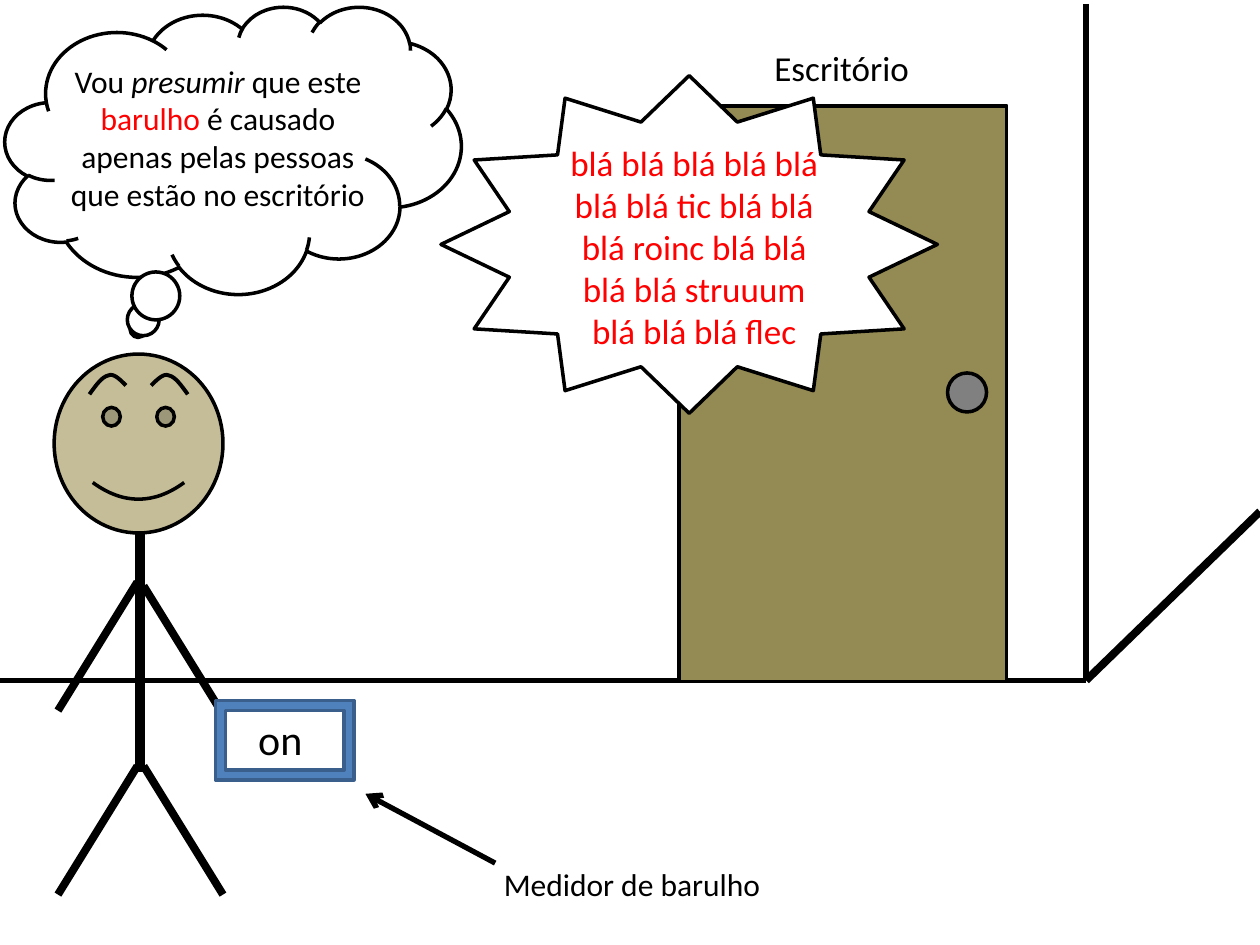
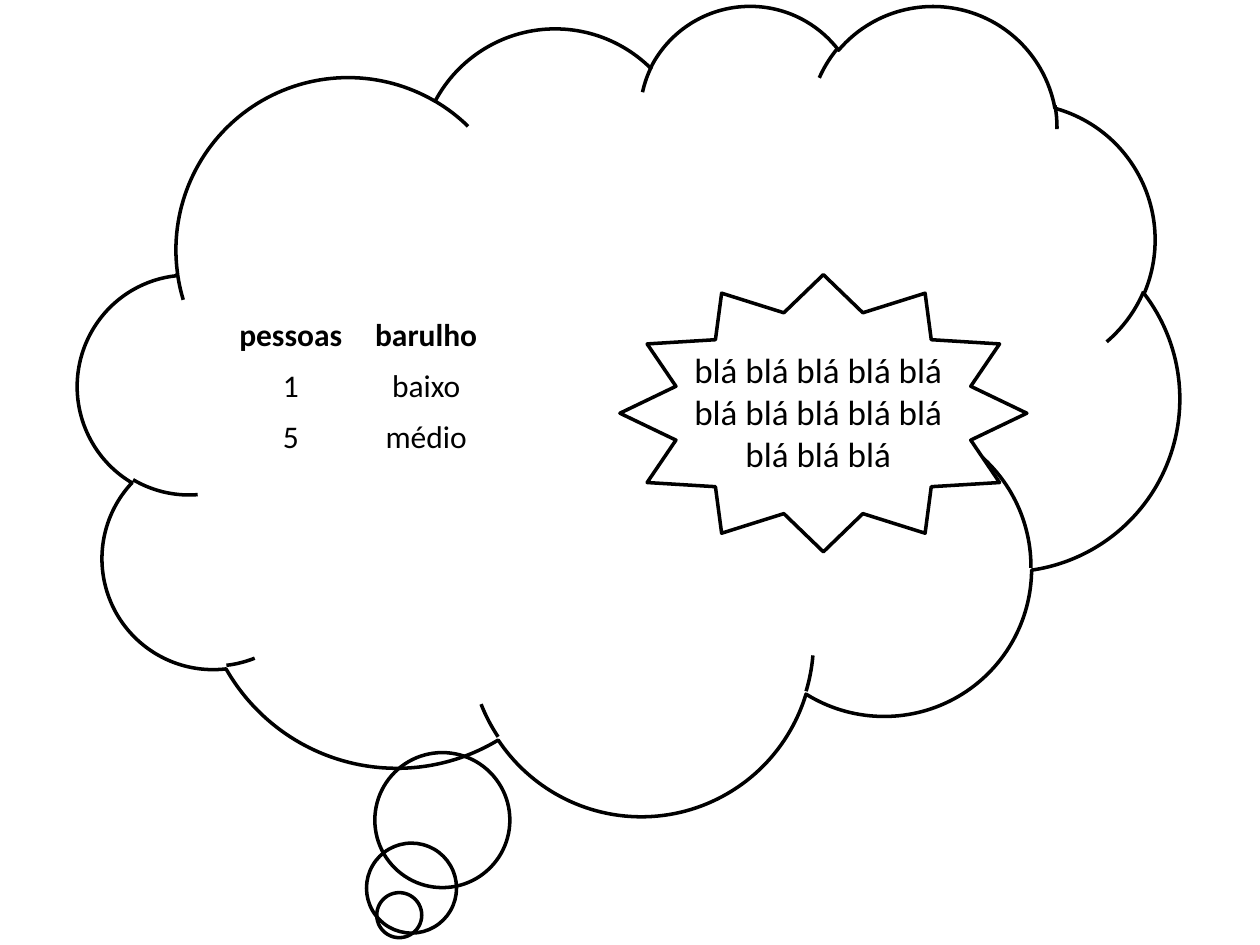
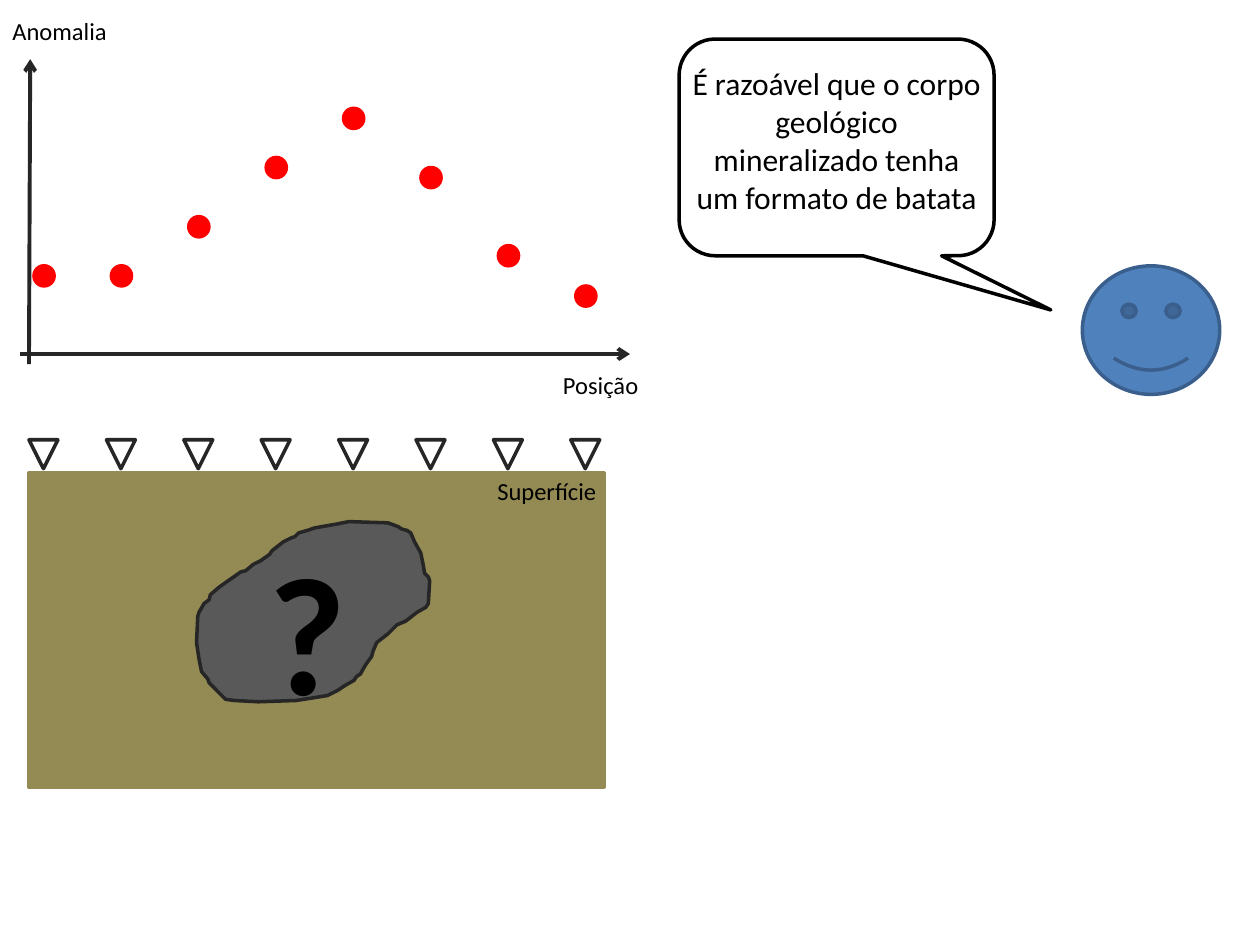
"""Build three slides about noise, assumptions and geological anomalies."""
import pptx
import pptx.dml.color
import pptx.enum.dml
import pptx.enum.shapes
import pptx.enum.text
import pptx.oxml.ns
import pptx.util
from lxml import etree

Inches = pptx.util.Inches
RGBColor = pptx.dml.color.RGBColor
SHAPE = pptx.enum.shapes.MSO_SHAPE
CENTER = pptx.enum.text.PP_ALIGN.CENTER
LEFT = pptx.enum.text.PP_ALIGN.LEFT

BLACK = RGBColor(0x00, 0x00, 0x00)
WHITE = RGBColor(0xFF, 0xFF, 0xFF)
RED = RGBColor(0xFF, 0x00, 0x00)
EARTH = RGBColor(0x94, 0x8A, 0x54)
SKIN = RGBColor(0xC4, 0xBD, 0x97)
KNOB_GRAY = RGBColor(0x80, 0x80, 0x80)
ROCK = RGBColor(0x59, 0x59, 0x59)
INK = RGBColor(0x26, 0x26, 0x26)
BLUE = RGBColor(0x4F, 0x81, 0xBD)
DARK_BLUE = RGBColor(0x3A, 0x5F, 0x8C)

ORE_BODY = [
    (2.14, 4.4), (2.16, 4.37), (2.25, 4.3), (2.31, 4.27), (2.34, 4.26), (2.37, 4.23),
    (2.44, 4.21), (2.5, 4.19), (2.67, 4.16), (2.77, 4.14), (3.08, 4.15), (3.16, 4.18),
    (3.19, 4.2), (3.23, 4.21), (3.26, 4.23), (3.29, 4.3), (3.34, 4.39), (3.36, 4.49),
    (3.37, 4.55), (3.4, 4.58), (3.41, 4.61), (3.4, 4.79), (3.38, 4.82), (3.31, 4.86),
    (3.22, 4.93), (3.15, 4.96), (3.08, 5.03), (2.99, 5.1), (2.96, 5.17), (2.95, 5.21),
    (2.9, 5.28), (2.86, 5.35), (2.83, 5.37), (2.81, 5.4), (2.74, 5.44), (2.68, 5.48),
    (2.6, 5.52), (2.48, 5.54), (2.35, 5.56), (2.05, 5.57), (1.86, 5.56), (1.79, 5.55),
    (1.73, 5.49), (1.66, 5.42), (1.65, 5.39), (1.6, 5.33), (1.58, 5.23), (1.56, 5.1),
    (1.57, 4.89), (1.58, 4.86), (1.62, 4.79), (1.66, 4.76), (1.67, 4.72), (1.74, 4.66),
    (1.81, 4.61), (1.84, 4.59), (1.91, 4.54), (1.95, 4.53), (2.01, 4.48), (2.07, 4.45),
]
BROW_CURVES = [
    [(1.2, 3.06), (1.25, 3.01), (1.3, 2.96), (1.34, 2.98)],
    [(1.34, 2.98), (1.39, 2.99), (1.44, 3.06), (1.49, 3.13)],
]
FACE_AXIS = 1.1


def curve_points(curve, steps=8):
    """Return points along a cubic curve."""
    points = []
    for step in range(steps + 1):
        t = step / steps
        weights = [(1 - t) ** 3, 3 * t * (1 - t) ** 2, 3 * t * t * (1 - t), t ** 3]
        points.append(tuple(sum(weight * point[axis] for weight, point in zip(weights, curve))
                            for axis in (0, 1)))
    return points


class Deck:
    """Hold the shared style and the current slide."""

    font_name = "Calibri"
    outline_width = 2

    def __init__(self):
        """Start an empty 10 by 7.5 inch presentation."""
        self.presentation = pptx.Presentation()
        self.presentation.slide_width = Inches(10)
        self.presentation.slide_height = Inches(7.5)
        self.slide = None

    def new_slide(self):
        """Add a blank slide and make it current."""
        self.slide = self.presentation.slides.add_slide(self.presentation.slide_layouts[6])

    def paint(self, shape, fill, line, width):
        """Apply fill and outline without a shadow."""
        shape.shadow.inherit = False
        if fill is None:
            shape.fill.background()
        else:
            shape.fill.solid()
            shape.fill.fore_color.rgb = fill
        shape.line.color.rgb = line
        shape.line.width = pptx.util.Pt(width)
        return shape

    def shape(self, kind, box, fill=None, line=BLACK):
        """Draw a preset shape."""
        shape = self.slide.shapes.add_shape(kind, *map(Inches, box))
        return self.paint(shape, fill, line, self.outline_width)

    def outline(self, points, fill=None, line=BLACK, width=2, close=False):
        """Draw a freeform through the points."""
        vertices = [(Inches(x), Inches(y)) for x, y in points]
        builder = self.slide.shapes.build_freeform(*vertices[0])
        builder.add_line_segments(vertices[1:], close=close)
        return self.paint(builder.convert_to_shape(), fill, line, width)

    def line(self, start, end, width, color=BLACK, arrow=False):
        """Draw a straight line, with an arrowhead if asked."""
        connector = self.slide.shapes.add_connector(
            pptx.enum.shapes.MSO_CONNECTOR.STRAIGHT, *map(Inches, start + end))
        connector.line.color.rgb = color
        connector.line.width = pptx.util.Pt(width)
        qn = pptx.oxml.ns.qn
        if arrow:
            etree.SubElement(connector.line._get_or_add_ln(), qn("a:tailEnd"), type="arrow")
        etree.SubElement(connector._element.spPr, qn("a:effectLst"))

    def format_run(self, run, size, color=BLACK, bold=False, italic=False):
        """Set the font of a run."""
        run.font.name = self.font_name
        run.font.size = pptx.util.Pt(size)
        run.font.color.rgb = color
        run.font.bold = bold
        run.font.italic = italic

    def text(self, box, text, size, color=BLACK, align=CENTER, bold=False):
        """Add a wrapped text box and return its paragraph."""
        frame = self.slide.shapes.add_textbox(*map(Inches, box)).text_frame
        frame.word_wrap = True
        frame.auto_size = pptx.enum.text.MSO_AUTO_SIZE.SHAPE_TO_FIT_TEXT
        frame.text = text
        paragraph = frame.paragraphs[0]
        paragraph.alignment = align
        self.format_run(paragraph.runs[0], size, color, bold)
        return paragraph

    def add_run(self, paragraph, text, size, color=BLACK, italic=False):
        """Append a formatted run to a paragraph."""
        run = paragraph.add_run()
        run.text = text
        self.format_run(run, size, color, italic=italic)

    def table(self, box, rows, size):
        """Add a plain white table with a bold heading row."""
        table = self.slide.shapes.add_table(len(rows), len(rows[0]), *map(Inches, box)).table
        for row_index, row in enumerate(rows):
            for column_index, value in enumerate(row):
                cell = table.cell(row_index, column_index)
                cell.fill.solid()
                cell.fill.fore_color.rgb = WHITE
                cell.text_frame.text = value
                paragraph = cell.text_frame.paragraphs[0]
                paragraph.alignment = CENTER
                for run in paragraph.runs:
                    self.format_run(run, size, bold=row_index == 0)


def build_office(deck):
    """Draw the person measuring noise outside the office."""
    deck.new_slide()
    corner = (8.62, 5.4)
    deck.line(corner, (10, 4.06), 4.5)
    deck.line((8.62, 0.03), corner, 3)
    deck.line((-0.04, 5.4), corner, 3)
    deck.shape(SHAPE.RECTANGLE, (5.39, 0.84, 2.6, 4.57), EARTH)
    deck.shape(SHAPE.OVAL, (7.52, 2.96, 0.31, 0.31), KNOB_GRAY)

    deck.line((1.11, 4.16), (1.11, 6.13), 6)
    for right_top, left_top in ((6.08, 6.08), (4.65, 4.62)):
        deck.line((1.14, right_top), (1.77, right_top + 1.02), 4.5)
        deck.line((1.09, left_top), (0.46, left_top + 1.02), 4.5)

    deck.text((5.54, 0.32, 2.28, 0.44), "Escritório", 20)
    deck.shape(SHAPE.STAR_12_POINT, (3.5, 0.6, 3.94, 2.68), WHITE)
    deck.text((4.37, 1.07, 2.28, 1.78),
              "blá blá blá blá blá blá blá tic blá blá blá roinc blá blá "
              "blá blá struuum blá blá blá flec", 20, RED)

    deck.shape(SHAPE.SMILEY_FACE, (0.43, 2.81, 1.34, 1.42), SKIN)
    right_brow = curve_points(BROW_CURVES[0]) + curve_points(BROW_CURVES[1])[1:]
    left_brow = [(2 * FACE_AXIS - x, y) for x, y in right_brow]
    for brow in (left_brow, right_brow):
        deck.outline(brow, width=2.25)

    deck.shape(SHAPE.CLOUD_CALLOUT, (0.04, 0.05, 3.62, 2.28), WHITE)
    thought = deck.text((0.35, 0.44, 2.76, 1.31), "Vou ", 18)
    deck.add_run(thought, "presumir", 18, italic=True)
    deck.add_run(thought, " que este ", 18)
    deck.add_run(thought, "barulho", 18, RED)
    deck.add_run(thought, " é causado apenas pelas pessoas que estão no escritório", 18)

    deck.shape(SHAPE.FRAME, (1.71, 5.56, 1.1, 0.63), BLUE, DARK_BLUE)
    deck.text((1.91, 5.61, 0.63, 0.5), "on", 24)
    deck.text((3.9, 6.82, 2.6, 0.4), "Medidor de barulho", 18, align=LEFT)
    deck.line((3.93, 6.85), (2.9, 6.3), 3, arrow=True)


def build_thought(deck):
    """Draw the thought relating people to noise."""
    deck.new_slide()
    deck.shape(SHAPE.CLOUD_CALLOUT, (0.62, 0.03, 8.74, 6.43))
    deck.table((1.77, 2.46, 2.15, 1.6),
               [("pessoas", "barulho"), ("1", "baixo"), ("5", "médio"), ("", "")], 18)
    deck.shape(SHAPE.STAR_12_POINT, (4.92, 2.18, 3.23, 2.2), WHITE)
    deck.text((5.33, 2.72, 2.33, 1.11), " ".join(["blá"] * 13), 20)


def build_anomaly(deck):
    """Draw the anomaly profile above the buried body."""
    deck.new_slide()
    deck.shape(SHAPE.RECTANGLE, (0.23, 3.75, 4.57, 2.5), EARTH, EARTH)
    deck.outline(ORE_BODY, ROCK, INK, close=True)
    deck.text((3.83, 3.73, 1.02, 0.34), "Superfície", 14)
    deck.text((2.03, 4.14, 0.86, 1.72), "?", 96, align=LEFT, bold=True)

    deck.line((0.16, 2.81), (5, 2.81), 2.25, INK, arrow=True)
    deck.line((0.23, 2.89), (0.24, 0.47), 2.25, INK, arrow=True)
    deck.text((0, 0.08, 1.17, 0.34), "Anomalia", 14, align=LEFT)
    deck.text((4.37, 2.89, 1.17, 0.34), "Posição", 14, align=LEFT)

    anomaly_tops = [2.11, 2.11, 1.72, 1.25, 0.86, 1.33, 1.95, 2.27]
    station_step = 4.3 / (len(anomaly_tops) - 1)
    for station, top in enumerate(anomaly_tops):
        left = 0.23 + station * station_step
        sensor = deck.shape(SHAPE.ISOSCELES_TRIANGLE, (left, 3.49, 0.23, 0.23), line=INK)
        sensor.rotation = 180
        deck.shape(SHAPE.OVAL, (left + 0.04, top, 0.16, 0.16), RED, RED)

    deck.shape(SHAPE.SMILEY_FACE, (8.59, 2.11, 1.09, 1.02), BLUE, DARK_BLUE)
    speech = deck.shape(SHAPE.ROUNDED_RECTANGULAR_CALLOUT, (5.39, 0.31, 2.5, 1.72))
    speech.adjustments[0] = 0.68
    speech.adjustments[1] = 0.75
    deck.text((5.39, 0.46, 2.5, 1.31),
              "É razoável que o corpo geológico mineralizado tenha um formato de batata", 18)


def main():
    """Build and save the presentation."""
    deck = Deck()
    build_office(deck)
    build_thought(deck)
    build_anomaly(deck)
    deck.presentation.save("out.pptx")


if __name__ == "__main__":
    main()
